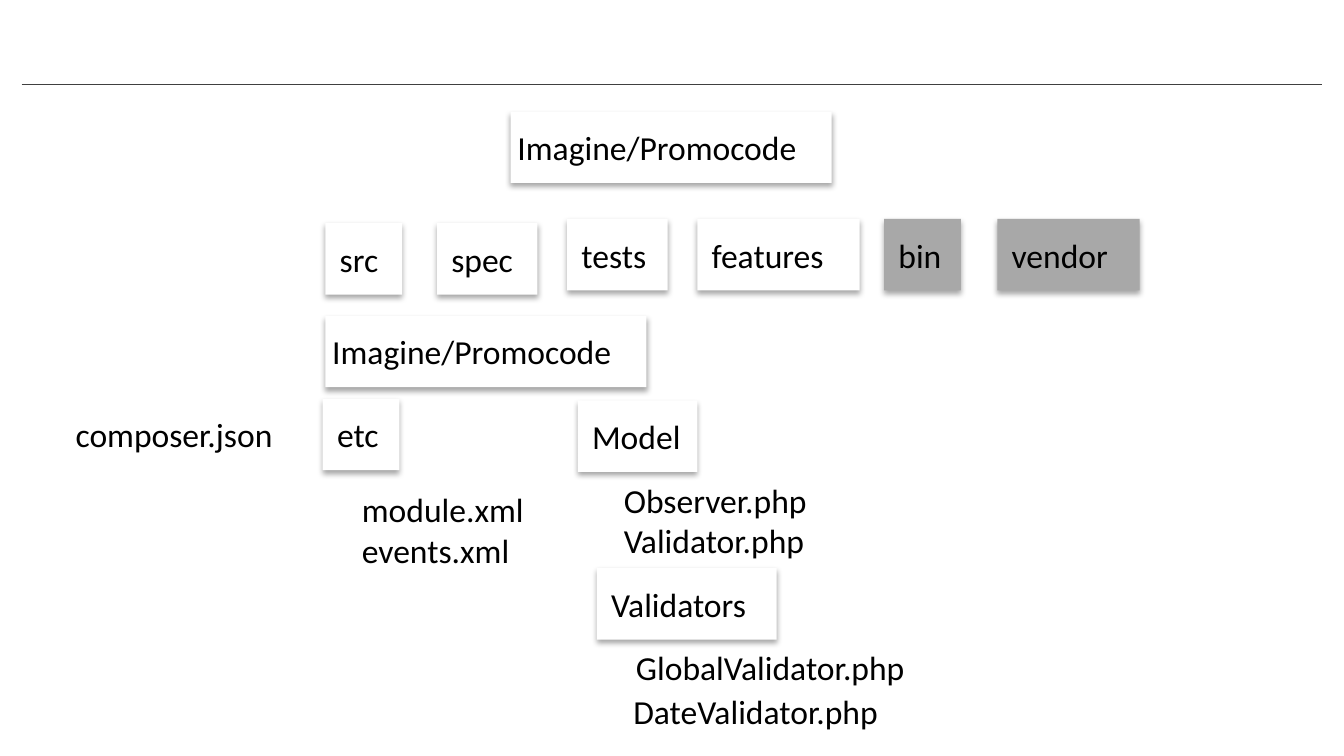
from lxml import etree
from pptx import Presentation
from pptx.dml.color import RGBColor
from pptx.enum.shapes import MSO_CONNECTOR as Connector, MSO_SHAPE as Shape
from pptx.enum.text import MSO_ANCHOR as Anchor, PP_ALIGN as Align
from pptx.oxml import parse_xml
from pptx.oxml.ns import qn
from pptx.util import Cm, Pt

BLACK, WHITE, GREY, RULE = "000000", "FFFFFF", "A8A8A8", "404040"
FOLDER_HEIGHT, FILE_HEIGHT = 1.35, 0.99
INSET, INDENT = Cm(0.13), Cm(0.27)
FRAME = {"word_wrap": True, "margin_left": INSET, "margin_right": INSET,
         "margin_top": INSET, "margin_bottom": INSET}
FONT = {"name": "Calibri", "size": Pt(18)}
SHADOW = (
    '<a:effectLst xmlns:a="http://schemas.openxmlformats.org/drawingml/2006/main">'
    '<a:outerShdw blurRad="38100" dist="22860" dir="5400000" rotWithShape="0">'
    '<a:srgbClr val="000000"><a:alpha val="35000"/></a:srgbClr>'
    '</a:outerShdw></a:effectLst>'
)


def color(value):
    return RGBColor.from_string(value)


def write(item, label, **changes):
    frame = item.text_frame
    for key, value in {**FRAME, **changes}.items():
        setattr(frame, key, value)
    paragraph = frame.paragraphs[0]
    paragraph.text = label
    paragraph.alignment = Align.LEFT
    for key, value in FONT.items():
        setattr(paragraph.font, key, value)
    paragraph.font.color.rgb = color(BLACK)


deck = Presentation()
deck.slide_width, deck.slide_height = Cm(25.4), Cm(14.29)
slide = deck.slides.add_slide(deck.slide_layouts[6])

header_rule = slide.shapes.add_connector(
    Connector.STRAIGHT, Cm(0.41), Cm(1.6), Cm(24.99), Cm(1.6))
header_rule.line.color.rgb = color(RULE)
header_rule.line.width = Pt(0.5)
etree.SubElement(header_rule._element.spPr, qn("a:effectLst"))

folders = [
    ("Imagine/Promocode", 9.65, 2.11, 6.07, WHITE, INSET),
    ("src", 6.15, 4.22, 1.45, WHITE, INDENT),
    ("spec", 8.26, 4.22, 1.9, WHITE, INDENT),
    ("tests", 10.72, 4.14, 1.9, WHITE, INDENT),
    ("features", 13.18, 4.14, 3.07, WHITE, INDENT),
    ("bin", 16.71, 4.14, 1.45, GREY, INDENT),
    ("vendor", 18.85, 4.14, 2.69, GREY, INDENT),
    ("Imagine/Promocode", 6.15, 5.97, 6.07, WHITE, INSET),
    ("etc", 6.1, 7.54, 1.45, WHITE, INDENT),
    ("Model", 10.92, 7.57, 2.26, WHITE, INDENT),
    ("Validators", 11.28, 10.74, 3.4, WHITE, INDENT),
]
for label, left, top, width, fill, margin in folders:
    folder = slide.shapes.add_shape(
        Shape.RECTANGLE, Cm(left), Cm(top), Cm(width), Cm(FOLDER_HEIGHT))
    folder.fill.solid()
    folder.fill.fore_color.rgb = color(fill)
    folder.line.fill.background()
    folder._element.spPr.append(parse_xml(SHADOW))
    write(folder, label, margin_left=margin, vertical_anchor=Anchor.MIDDLE)

files = [
    ("composer.json", 1.3, 7.7, 4.34),
    ("module.xml", 6.71, 9.12, 3.66),
    ("events.xml", 6.71, 9.88, 3.4),
    ("Observer.php", 11.66, 8.94, 4.04),
    ("Validator.php", 11.66, 9.7, 4.04),
    ("GlobalValidator.php", 11.89, 12.09, 5.87),
    ("DateValidator.php", 11.84, 12.93, 5.36),
]
for label, left, top, width in files:
    file_name = slide.shapes.add_textbox(
        Cm(left), Cm(top), Cm(width), Cm(FILE_HEIGHT))
    write(file_name, label)

deck.save("out.pptx")
